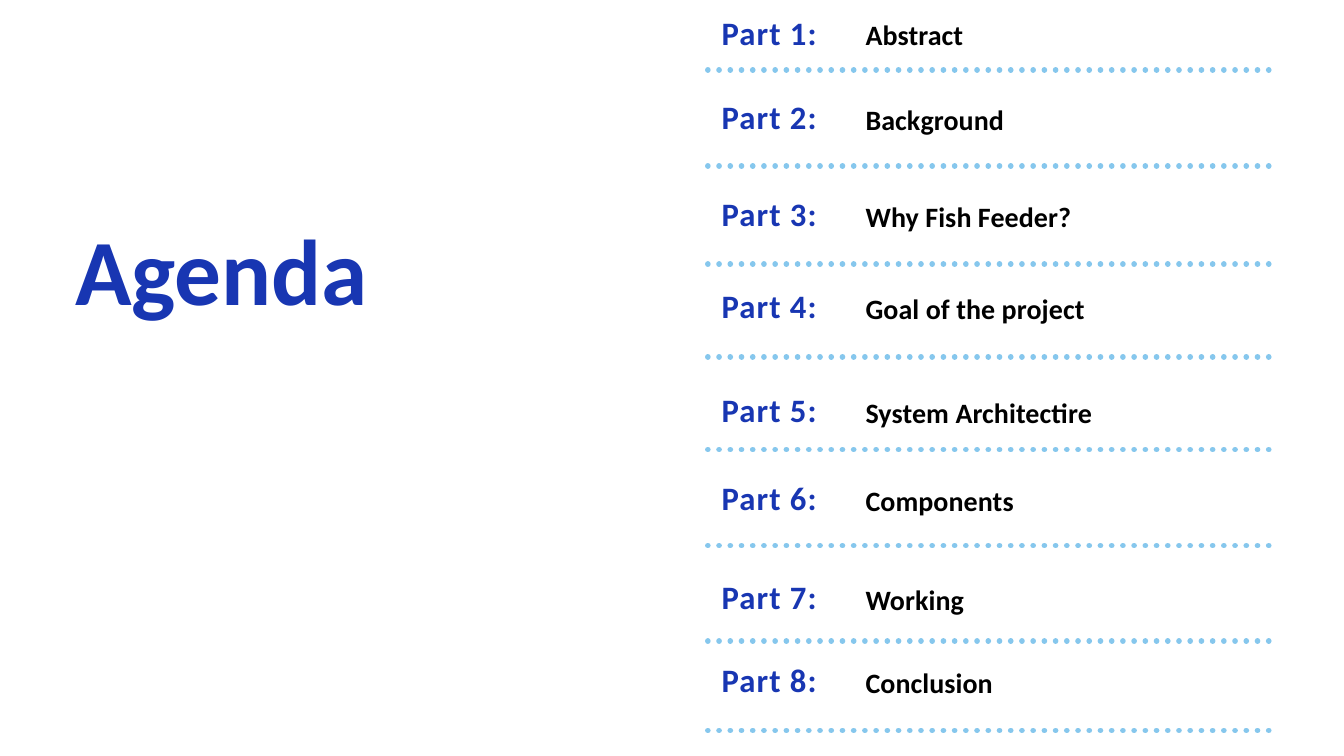
import pptx
import pptx.dml.color
import pptx.enum.dml
import pptx.enum.shapes
import pptx.enum.text
import pptx.oxml.xmlchemy
import pptx.util
from lxml import etree

Pt = pptx.util.Pt
FONT = "Calibri"
COLORS = {"title": "1836B2", "topic": "000000", "divider": "86C7ED", "page": "FFFFFF"}
DRAWING = "http://schemas.openxmlformats.org/drawingml/2006/main"

# Topic, top of its text, height of the divider below it
AGENDA = [
    ("Abstract", 13.2, 74.9),
    ("Background", 103.7, 177.8),
    ("Why Fish Feeder?", 208.1, 283),
    ("Goal of the project", 306, 382.3),
    ("System Architectire", 417.8, 481.7),
    ("Components", 511.9, 584.6),
    ("Working", 617.8, 686.9),
    ("Conclusion", 707.3, 782.6),
]


def color(name):
    return pptx.dml.color.RGBColor.from_string(COLORS[name])


def add_text(shapes, text, left, top, width, height, size, leading, color_name, spacing=0):
    """Add a bold line of text; spacing is in hundredths of a point."""
    box = shapes.add_textbox(Pt(left), Pt(top), Pt(width), Pt(height))
    frame = box.text_frame
    frame.margin_left = frame.margin_top = frame.margin_right = frame.margin_bottom = 0
    frame.word_wrap = True
    frame.auto_size = pptx.enum.text.MSO_AUTO_SIZE.SHAPE_TO_FIT_TEXT
    frame.text = text
    para = frame.paragraphs[0]
    para.line_spacing = Pt(leading)
    span = para.runs[0]
    span.font.name = FONT
    span.font.size = Pt(size)
    span.font.bold = True
    span.font.color.rgb = color(color_name)
    if spacing:
        span.font._element.set("spc", str(spacing))


def add_divider(page, left, top, width):
    divider = page.shapes.add_connector(
        pptx.enum.shapes.MSO_CONNECTOR.STRAIGHT,
        Pt(left + width), Pt(top), Pt(left), Pt(top))
    divider.line.color.rgb = color("divider")
    divider.line.width = Pt(6)
    divider.line.dash_style = pptx.enum.dml.MSO_LINE.ROUND_DOT
    properties = divider._element.spPr
    properties.find(f"{{{DRAWING}}}ln").set("cap", "rnd")
    etree.SubElement(properties, f"{{{DRAWING}}}effectLst")


def add_agenda(page, left, width):
    for number, (topic, top, divider_top) in enumerate(AGENDA, start=1):
        row = page.shapes.add_group_shape()
        add_text(row.shapes, topic, left + 170.7, top, 374.4, 39.6, 30, 42, "topic", 10)
        add_text(row.shapes, f"Part {number}:", left + 16.6, top, 134.6, 42.5,
                 35, 42, "title", 110)
        add_divider(page, left, divider_top, width)


def main():
    deck = pptx.Presentation()
    deck.slide_width, deck.slide_height = Pt(1440), Pt(810)
    page = deck.slides.add_slide(deck.slide_layouts[6])
    page.background.fill.solid()
    page.background.fill.fore_color.rgb = color("page")
    add_text(page.shapes, "Agenda", 80.6, 237.6, 438.5, 111.6, 100, 110, "title")
    add_agenda(page, 756.7, 602.7)
    deck.save("out.pptx")


if __name__ == "__main__":
    main()
